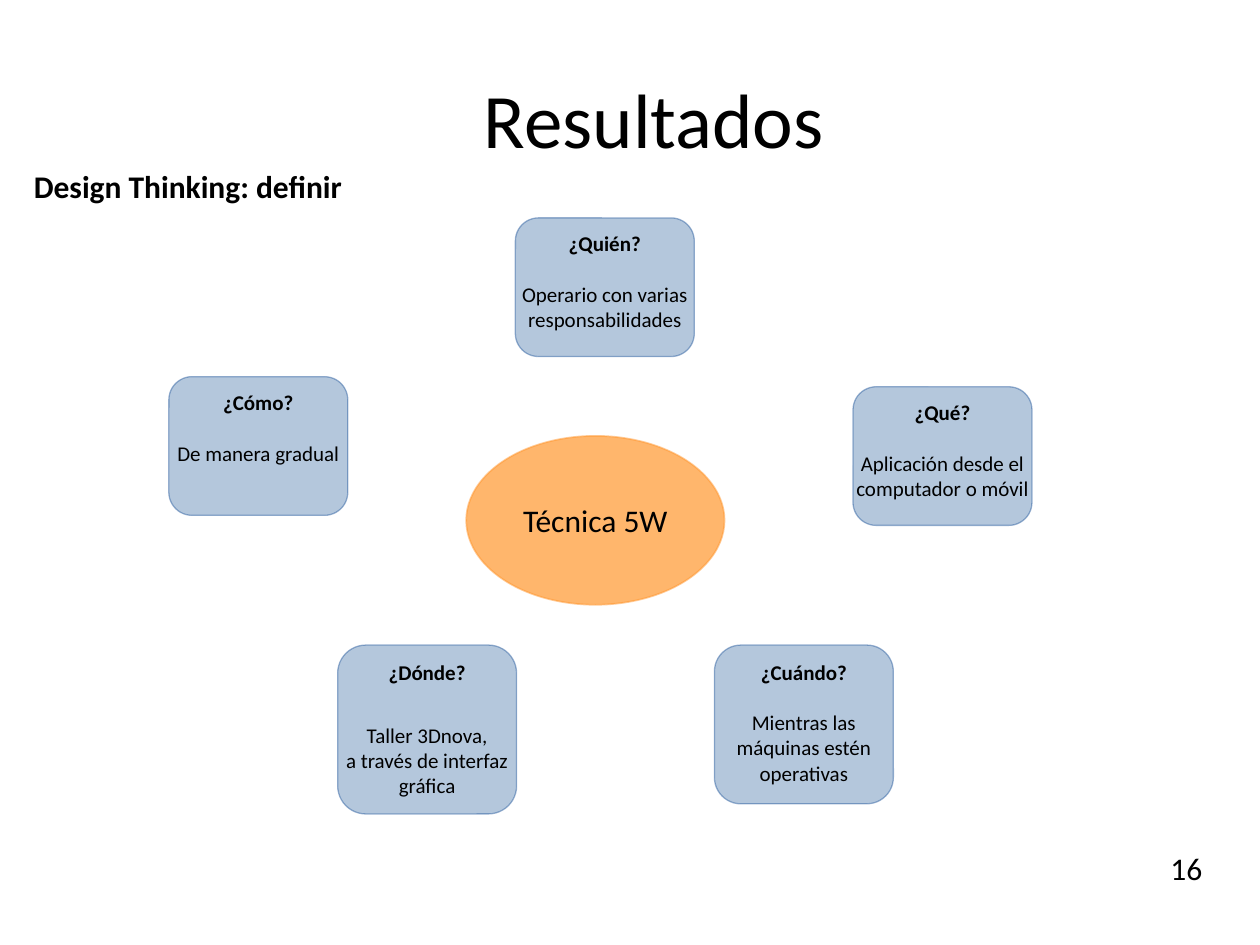
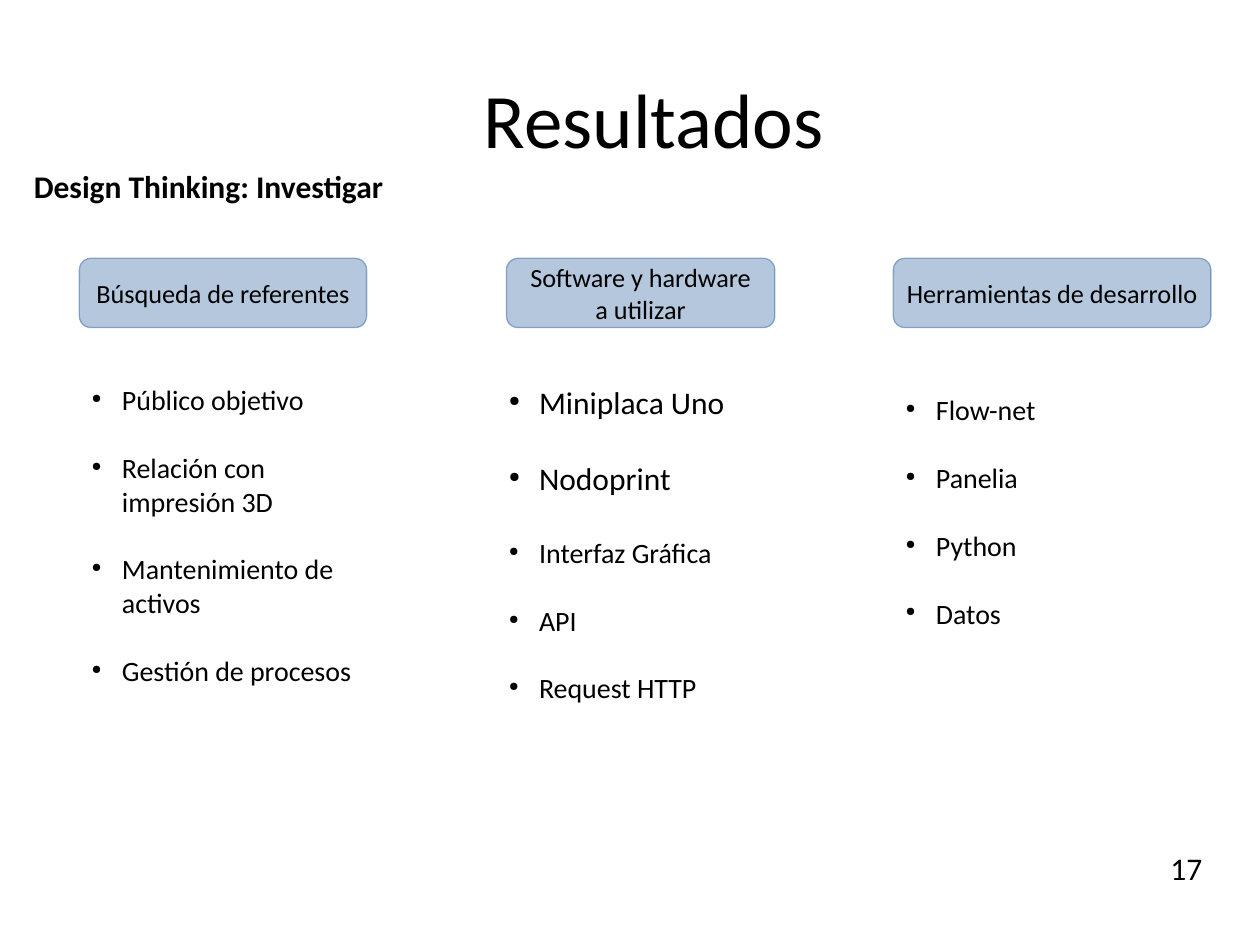
from lxml import etree
from pptx import Presentation
from pptx.dml.color import RGBColor
from pptx.enum.shapes import MSO_SHAPE
from pptx.enum.text import MSO_ANCHOR, MSO_AUTO_SIZE, PP_ALIGN
from pptx.oxml.ns import qn
from pptx.util import Inches, Pt

COLORS = {
    "text": "000000",
    "box": "B4C7DC",
    "box_line": "3465A4",
    "center": "FFB66C",
    "center_line": "FF972F",
}
FONT = "Calibri"
LINE_HEIGHT = 1.22


def write(shape, *lines, sizes=(18,), bold_first=False, gap=0, align=PP_ALIGN.LEFT,
          anchor=MSO_ANCHOR.TOP, wrap=True, bullets=False):
    frame = shape.text_frame
    frame.auto_size = MSO_AUTO_SIZE.NONE
    frame.word_wrap = wrap
    frame.vertical_anchor = anchor
    for index, line in enumerate(lines):
        paragraph = frame.paragraphs[0] if index == 0 else frame.add_paragraph()
        paragraph.text = line
        paragraph.alignment = align
        size = sizes[min(index, len(sizes) - 1)]
        previous_size = sizes[min(max(index - 1, 0), len(sizes) - 1)]
        paragraph.space_before = Pt(round(previous_size * gap, 1) if index else 0)
        for run in paragraph.runs:
            run.font.name = FONT
            run.font.size = Pt(size)
            run.font.bold = bold_first and index == 0
            run.font.color.rgb = RGBColor.from_string(COLORS["text"])
        if bullets:
            properties = paragraph._p.get_or_add_pPr()
            properties.set("marL", str(Inches(0.24)))
            properties.set("indent", str(Inches(-0.24)))
            bullet_color = etree.SubElement(properties, qn("a:buClr"))
            etree.SubElement(bullet_color, qn("a:srgbClr"), val=COLORS["text"])
            etree.SubElement(properties, qn("a:buSzPct"), val="45000")
            etree.SubElement(properties, qn("a:buChar"), char="●")


def add_panel(slide, preset, left, top, width, height, fill="box", line_width=0.75):
    panel = slide.shapes.add_shape(
        preset, Inches(left), Inches(top), Inches(width), Inches(height))
    panel.shadow.inherit = False
    panel.fill.solid()
    panel.fill.fore_color.rgb = RGBColor.from_string(COLORS[fill])
    panel.line.width = Pt(line_width)
    panel.line.color.rgb = RGBColor.from_string(COLORS[fill + "_line"])
    line_color = panel.line._ln.find(".//" + qn("a:srgbClr"))
    etree.SubElement(line_color, qn("a:alpha"), val="50000")
    return panel


deck = Presentation()
deck.slide_width = Inches(10)
deck.slide_height = Inches(7.5)

slides = []
for number, stage in [("16", "definir"), ("17", "Investigar")]:
    slide = deck.slides.add_slide(deck.slide_layouts[5])
    heading = slide.shapes.title
    heading.left, heading.top = Inches(0.69), Inches(0.31)
    heading.width, heading.height = Inches(9), Inches(1.25)
    write(heading, "Resultados", sizes=(44,), align=PP_ALIGN.CENTER, anchor=MSO_ANCHOR.MIDDLE)
    page_number = slide.shapes.add_textbox(
        Inches(9.19), Inches(6.69), Inches(0.7), Inches(0.4))
    write(page_number, number)
    stage_label = slide.shapes.add_textbox(
        Inches(0.17), Inches(1.28), Inches(4.63), Inches(0.5))
    write(stage_label, f"Design Thinking: {stage}", bold_first=True)
    slides.append(slide)

define_slide, research_slide = slides

technique = add_panel(define_slide, MSO_SHAPE.OVAL, 3.7, 3.46, 2.05, 1.34,
                      fill="center", line_width=1)
write(technique, "Técnica 5W", align=PP_ALIGN.CENTER, anchor=MSO_ANCHOR.MIDDLE, wrap=False)

questions = [
    ("¿Quién?", "Operario con varias\vresponsabilidades", 4.09, 1.73, 1.1, LINE_HEIGHT),
    ("¿Qué?", "Aplicación desde el\vcomputador o móvil", 6.77, 3.07, 1.1, LINE_HEIGHT),
    ("¿Cómo?", "De manera gradual", 1.34, 2.99, 1.1, LINE_HEIGHT),
    ("¿Cuándo?", "Mientras las\vmáquinas estén\voperativas", 5.67, 5.12, 1.26, LINE_HEIGHT),
    ("¿Dónde?", "Taller 3Dnova,\va través de interfaz\vgráfica", 2.68, 5.12, 1.34, 1.8),
]
for question, answer, left, top, height, gap in questions:
    card = add_panel(define_slide, MSO_SHAPE.ROUNDED_RECTANGLE, left, top, 1.42, height)
    write(card, question, answer, sizes=(12,), bold_first=True, gap=gap,
          align=PP_ALIGN.CENTER, wrap=False)

topics = [
    (["Búsqueda de referentes"], 0.63, 2.28, 0.63, 2.99, (16,),
     ["Público objetivo", "Relación con impresión 3D", "Mantenimiento de activos",
      "Gestión de procesos"]),
    (["Software y hardware", "a utilizar"], 4.02, 2.13, 3.94, 2.99, (18, 18, 16),
     ["Miniplaca Uno", "Nodoprint", "Interfaz Gráfica", "API", "Request HTTP"]),
    (["Herramientas de desarrollo"], 7.09, 2.52, 7.09, 3.07, (16,),
     ["Flow-net", "Panelia", "Python", "Datos"]),
]
for topic, left, width, list_left, list_top, sizes, items in topics:
    header = add_panel(research_slide, MSO_SHAPE.ROUNDED_RECTANGLE, left, 2.05, width, 0.55)
    write(header, *topic, sizes=(15,), align=PP_ALIGN.CENTER,
          anchor=MSO_ANCHOR.MIDDLE, wrap=False)
    item_list = research_slide.shapes.add_textbox(
        Inches(list_left), Inches(list_top), Inches(2.36), Inches(3))
    write(item_list, *items, sizes=sizes, gap=LINE_HEIGHT, bullets=True)

deck.save("out.pptx")
